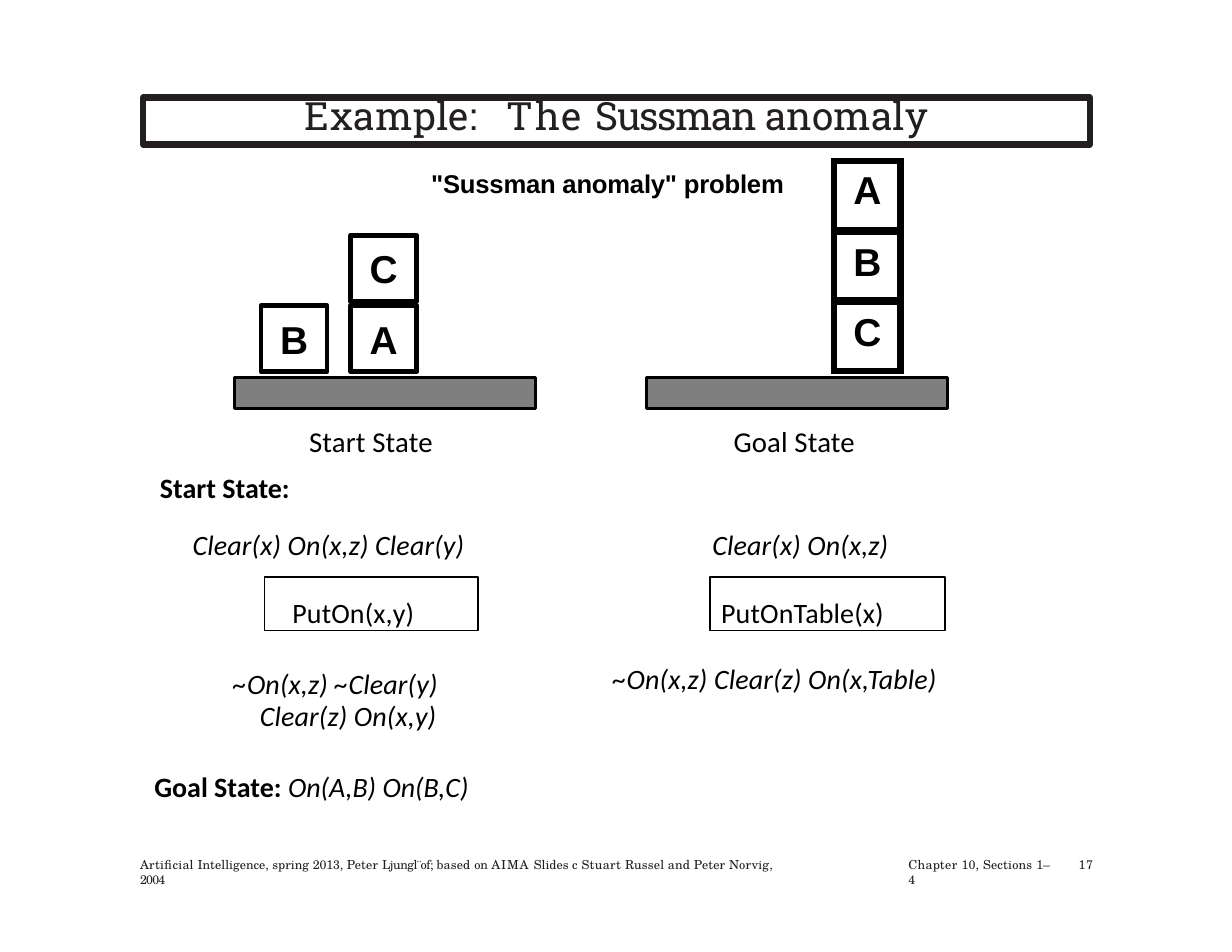
from dataclasses import dataclass

from lxml.etree import SubElement
from pptx import Presentation
from pptx.dml.color import RGBColor
from pptx.enum.shapes import MSO_SHAPE
from pptx.enum.text import MSO_ANCHOR, MSO_AUTO_SIZE, PP_ALIGN
from pptx.oxml.ns import qn
from pptx.util import Emu, Inches, Pt


@dataclass(frozen=True)
class TextStyle:
    font: str
    size: float
    color: str = "000000"
    bold: bool = False
    italic: bool = False
    spacing: float = 0.1


@dataclass(frozen=True)
class Theme:
    ink: str = "231F20"
    black: str = "000000"
    table_top: str = "7F7F7F"
    title: TextStyle = TextStyle("Roboto Slab", 25, "231F20")
    heading: TextStyle = TextStyle("Arial", 16.5, bold=True, spacing=-0.1)
    block: TextStyle = TextStyle("Arial", 25, bold=True, spacing=-0.1)
    caption: TextStyle = TextStyle("Calibri", 18.5)
    action: TextStyle = TextStyle("Calibri", 18)
    formula: TextStyle = TextStyle("Calibri", 18, italic=True)
    label: TextStyle = TextStyle("Calibri", 18, bold=True, spacing=0)
    goal: TextStyle = TextStyle("Calibri", 18, spacing=0)
    footer: TextStyle = TextStyle("TeX Gyre Schola", 8, "231F20")


class SlideBuilder:
    """Places elements on a grid of 110 columns and 85 rows."""

    COLUMNS, ROWS = 110, 85

    def __init__(self, deck, theme):
        self.theme = theme
        self.column = deck.slide_width / self.COLUMNS
        self.row = deck.slide_height / self.ROWS
        self.slide = deck.slides.add_slide(deck.slide_layouts[5])

    def area(self, col, row, cols, rows):
        return (Emu(round(col * self.column)), Emu(round(row * self.row)),
                Emu(round(cols * self.column)), Emu(round(rows * self.row)))

    def fill_text(self, frame, parts, style, inset=(0, 0), align=PP_ALIGN.LEFT,
                  anchor=MSO_ANCHOR.TOP):
        """Write a string, or (string, spacing) pairs, with a left and top inset."""
        frame.word_wrap = True
        frame.auto_size = MSO_AUTO_SIZE.NONE
        frame.vertical_anchor = anchor
        frame.margin_left = round(inset[0] * self.column)
        frame.margin_top = round(inset[1] * self.row)
        frame.margin_right = frame.margin_bottom = 0
        return self.fill_paragraph(frame.paragraphs[0], parts, style, align)

    def fill_paragraph(self, paragraph, parts, style, align):
        paragraph.alignment = align
        font = paragraph.font
        font.name, font.size = style.font, Pt(style.size)
        font.bold, font.italic = style.bold, style.italic
        font.color.rgb = RGBColor.from_string(style.color)
        if isinstance(parts, str):
            parts = [(parts, style.spacing)]
        for words, spacing in parts:
            run = paragraph.add_run()
            run.text = words
            run._r.get_or_add_rPr().set("spc", str(round(spacing * 100)))
        return paragraph

    def title(self, place, parts, tab):
        holder = self.slide.shapes.title
        holder.left, holder.top, holder.width, holder.height = self.area(*place)
        holder.line.color.rgb = RGBColor.from_string(self.theme.ink)
        holder.line.width = Pt(4)
        paragraph = self.fill_text(holder.text_frame, parts, self.theme.title,
                                   align=PP_ALIGN.CENTER)
        paragraph.line_spacing = Pt(26.3)
        tabs = paragraph._p.get_or_add_pPr().makeelement(qn("a:tabLst"))
        SubElement(tabs, qn("a:tab"), pos=str(round(tab * self.column)), algn="l")
        paragraph._p.pPr.find(qn("a:defRPr")).addprevious(tabs)

    def text(self, place, parts, style, inset=(0.1, 0.2)):
        box = self.slide.shapes.add_textbox(*self.area(*place))
        return self.fill_text(box.text_frame, parts, style, inset)

    def box(self, place, weight, fill=None):
        shape = self.slide.shapes.add_shape(MSO_SHAPE.RECTANGLE, *self.area(*place))
        shape.shadow.inherit = False
        shape.line.color.rgb = RGBColor.from_string(self.theme.black)
        shape.line.width = Pt(weight)
        if fill:
            shape.fill.solid()
            shape.fill.fore_color.rgb = RGBColor.from_string(fill)
        else:
            shape.fill.background()
        return shape

    def block(self, col, row, letter):
        shape = self.box((col, row, 5.9, 5.9), 3.06)
        self.fill_text(shape.text_frame, letter, self.theme.block,
                       align=PP_ALIGN.CENTER, anchor=MSO_ANCHOR.MIDDLE)

    def tower(self, place, letters, outer=4.5, inner=6.11):
        """Stack lettered cells with heavy borders."""
        table = self.slide.shapes.add_table(len(letters), 1, *self.area(*place)).table
        table.first_row = table.horz_banding = False
        last = len(letters) - 1
        for level, letter in enumerate(letters):
            cell = table.cell(level, 0)
            self.fill_paragraph(cell.text_frame.paragraphs[0], letter,
                                self.theme.block, PP_ALIGN.CENTER)
            cell.margin_left = cell.margin_right = cell.margin_bottom = 0
            cell.margin_top = Inches(0.09 if level else 0.07)
            weights = {"L": outer, "R": outer, "T": inner if level else outer,
                       "B": outer if level == last else inner}
            for side, weight in weights.items():
                border = SubElement(cell._tc.get_or_add_tcPr(), qn(f"a:ln{side}"),
                                    w=str(Pt(weight)))
                paint = SubElement(border, qn("a:solidFill"))
                SubElement(paint, qn("a:srgbClr"), val=self.theme.black)
            cell.fill.background()

    def action(self, place, name, indent):
        shape = self.box(place, 1.02)
        self.fill_text(shape.text_frame, name, self.theme.action, (indent, 1.7))


def main():
    deck = Presentation()
    deck.slide_width, deck.slide_height = Inches(11), Inches(8.5)
    theme = Theme()
    page = SlideBuilder(deck, theme)

    page.title((12.8, 8.7, 84.5, 4.2),
               [("Example:\t", 0.3), ("The ", 1.3), ("Sussman ", -0.9), ("anomaly", 0.1)],
               tab=18)
    page.text((38.4, 14.8, 32.1, 3), '"Sussman anomaly" problem', theme.heading)

    for table_col, caption_col, caption in ((20.9, 27.5, "Start State"),
                                            (57.7, 65.4, "Goal State")):
        page.box((table_col, 33.7, 26.9, 2.8), 2.04, theme.table_top)
        page.text((caption_col, 37.6, 12.3, 3.4), caption, theme.caption)

    for col, row, letter in ((23.3, 27.3, "B"), (31.3, 27.3, "A"), (31.3, 21, "C")):
        page.block(col, row, letter)
    page.tower((74.5, 14.4, 5.9, 18.7), "ABC")

    page.text((13.3, 41.5, 58.8, 4), "Start State:", theme.label, (1, 0.5))

    page.action((23.6, 51.5, 19.1, 4.8), "PutOn(x,y)", 2.5)
    page.action((63.4, 51.5, 21, 4.8), "PutOnTable(x)", 1)
    page.text((17.1, 46.9, 31.8, 3.2), "Clear(x) On(x,z) Clear(y)", theme.formula)
    page.text((63.5, 46.9, 20.8, 3.2), "Clear(x) On(x,z)", theme.formula)
    page.text((54.6, 58.9, 38.4, 3.2), "~On(x,z) Clear(z) On(x,Table)", theme.formula)
    effects = page.text((20.7, 58.9, 24.1, 6.6), "~On(x,z) ~Clear(y) Clear(z) On(x,y)",
                        theme.formula, (0, 0.7))
    effects.line_spacing = Pt(20.7)
    hanging = effects._p.get_or_add_pPr()
    hanging.set("marL", str(Inches(0.25)))
    hanging.set("indent", str(Inches(-0.24)))

    goal = page.text((12.8, 68.2, 58.8, 4),
                     [("Goal State: ", 0), ("On(A,B) On(B,C)", 0)], theme.goal, (1, 0.5))
    goal.runs[0].font.bold = True
    goal.runs[1].font.italic = True

    credit = [("Artificial ", 0.1), ("Intelligence, spring ", 0), ("2013, ", -0.1),
              ("Peter ", 0.1), ("Ljungl¨of; ", -0.3), ("based ", 0.1), ("on ", -0.1),
              ("AIMA ", 0.5), ("Slides ", 0), ("c ", 0.1), ("Stuart ", 0.2),
              ("Russel and Peter Norvig, ", 0.1), ("2004", -0.5)]
    chapter = [("Chapter ", 0.2), ("10, Sections ", 0.1), ("1–4", -0.1)]
    for col, width, parts in ((12.4, 58.8, credit), (81, 13.1, chapter),
                              (96.2, 1.5, [("17", 0.5)])):
        page.text((col, 76.4, width, 1.6), parts, theme.footer, (0.1, 0.1))

    deck.save("out.pptx")


if __name__ == "__main__":
    main()
